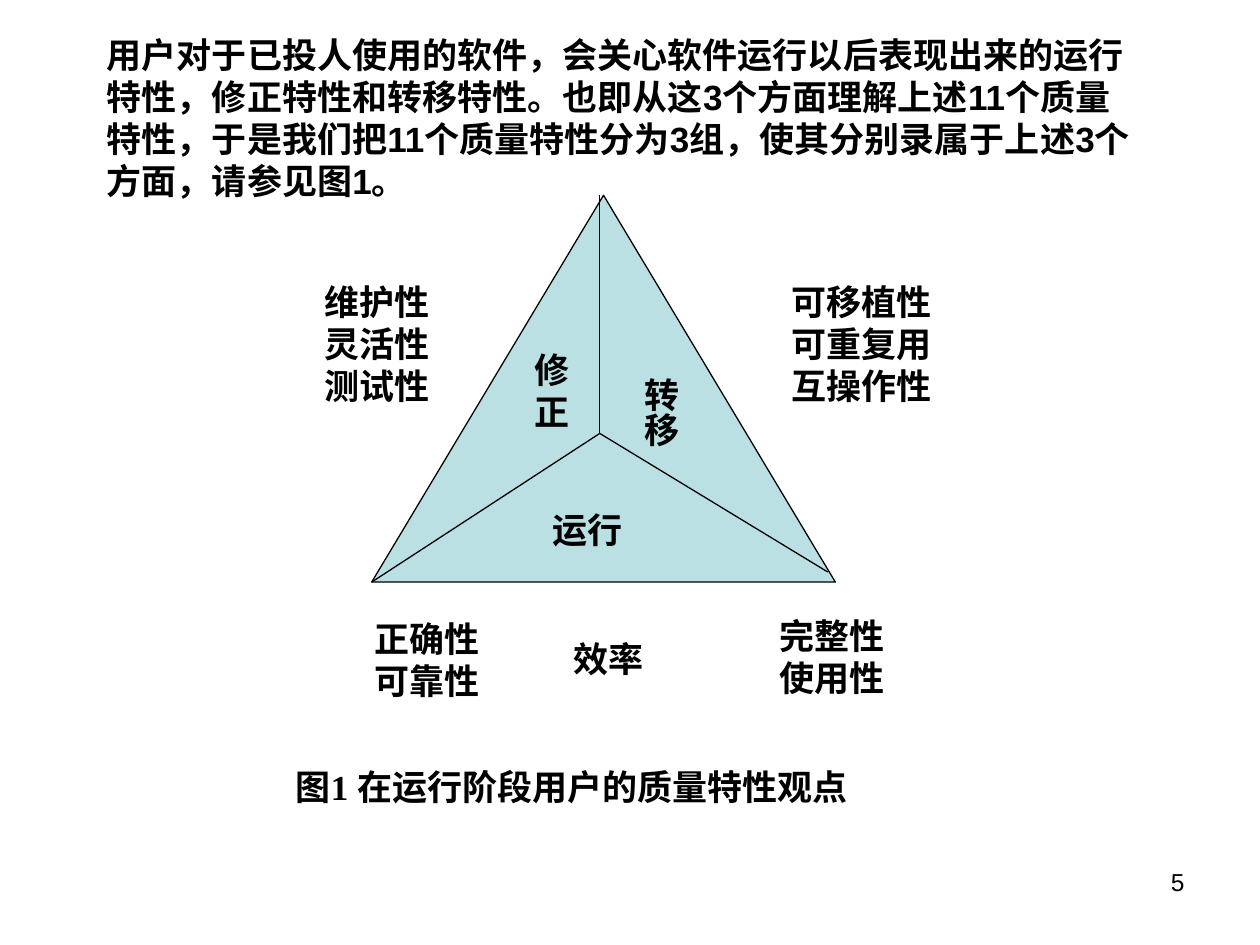
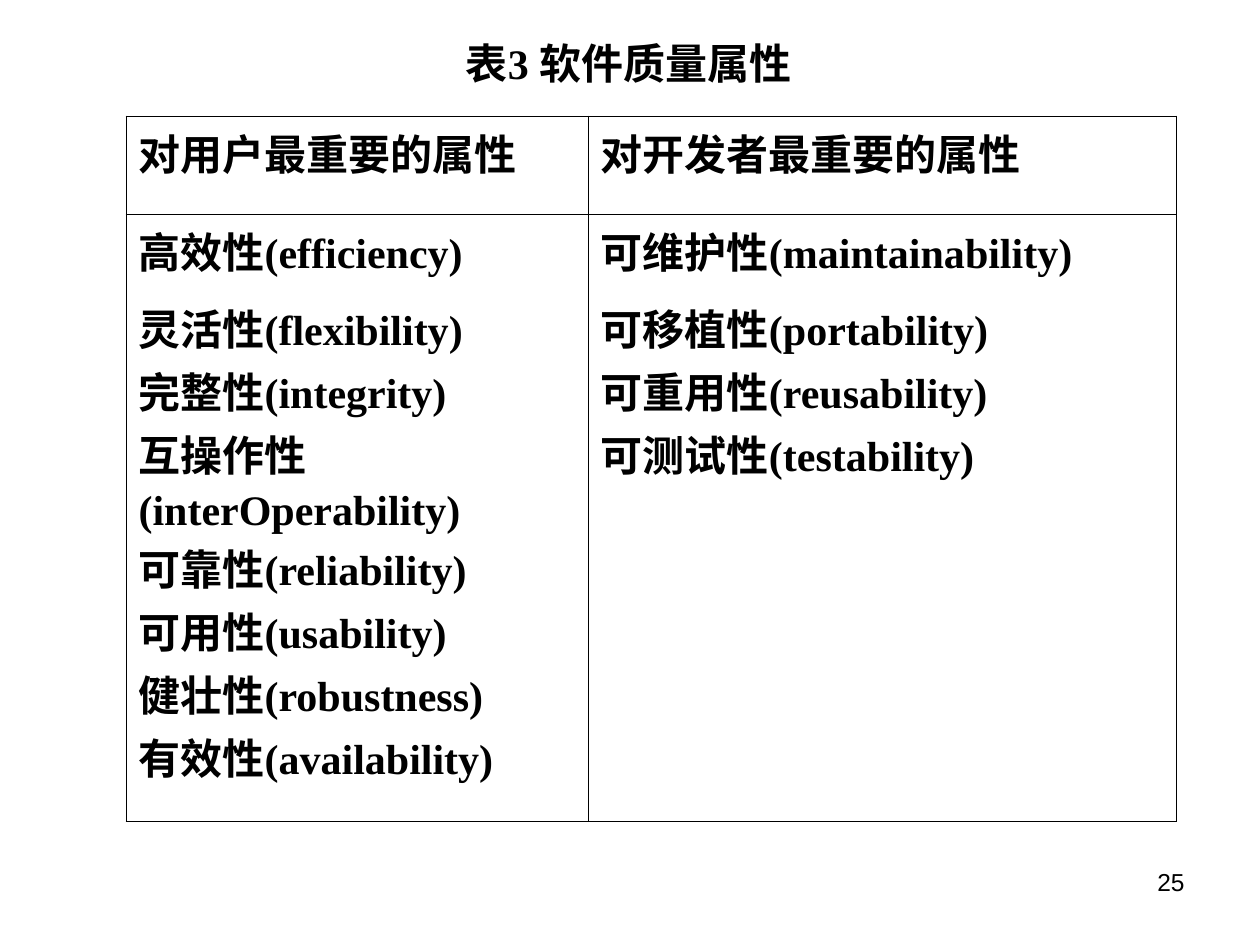
from pptx import Presentation
from pptx.dml.color import RGBColor
from pptx.enum.shapes import MSO_CONNECTOR, MSO_SHAPE
from pptx.enum.text import MSO_ANCHOR, MSO_AUTO_SIZE, PP_ALIGN
from pptx.oxml.ns import qn
from pptx.util import Inches, Pt
from lxml.etree import SubElement, Element

INK = "000000"
PALE_TEAL = "BBE0E3"
SERIF = "Times New Roman"
SANS = "Arial"
TITLE_ONLY, BLANK = 5, 6

INTRO = (
    "用户对于已投人使用的软件，会关心软件运行以后表现出来的运行特性，修正特性和转移特性。"
    "也即从这3个方面理解上述11个质量特性，于是我们把11个质量特性分为3组，"
    "使其分别录属于上述3个方面，请参见图1。"
)
FIGURE_LABELS = [
    ("运行", 1.34, 2.44, 1.29, 0.44),
    ("修\n正", 1.19, 1.17, 0.48, 0.77),
    ("维护性\n灵活性\n测试性", -0.47, 0.63, 1.52, 1.1),
    ("可移植性\n可重复用\n互操作性", 3.23, 0.63, 1.9, 1.1),
    ("正确性\n可靠性", -0.08, 3.3, 1.29, 0.77),
    ("完整性\n使用性", 3.14, 3.28, 1.29, 0.77),
    ("效率", 1.5, 3.46, 1.05, 0.44),
    ("图1 在运行阶段用户的质量特性观点", -0.7, 4.48, 5.52, 0.44),
]
USER_ATTRIBUTES = [
    "对用户最重要的属性", "高效性(efficiency)", "灵活性(flexibility)",
    "完整性(integrity)", "互操作性(interOperability)", "可靠性(reliability)",
    "可用性(usability)", "健壮性(robustness)", "有效性(availability)",
]
DEVELOPER_ATTRIBUTES = [
    "对开发者最重要的属性", "可维护性(maintainability)", "可移植性(portability)",
    "可重用性(reusability)", "可测试性(testability)",
]
ROW_HEIGHTS = [0.78, 0.69, 0.5, 0.5, 0.9, 0.5, 0.5, 0.5, 0.73]
COLUMN_WIDTHS = [3.67, 4.67]
RULED_ROWS = 2


def color(hex_value):
    return RGBColor.from_string(hex_value)


def format_text(frame, size, font=SERIF, bold=True, align=PP_ALIGN.LEFT):
    for paragraph in frame.paragraphs:
        paragraph.alignment = align
        for run in paragraph.runs:
            run.font.name = font
            run.font.size = Pt(size)
            run.font.bold = bold
            run.font.color.rgb = color(INK)


def add_label(slide, text, left, top, width, height, size=20, **style):
    label = slide.shapes.add_textbox(*map(Inches, (left, top, width, height)))
    frame = label.text_frame
    frame.word_wrap = True
    frame.text = text
    format_text(frame, size, **style)
    return frame


def add_page_number(slide, number):
    add_label(slide, number, 7.17, 6.83, 2.33, 0.52, size=14,
              font=SANS, bold=False, align=PP_ALIGN.RIGHT)


def add_divider(slide, start, end):
    divider = slide.shapes.add_connector(
        MSO_CONNECTOR.STRAIGHT, *map(Inches, (*start, *end)))
    divider.line.color.rgb = color(INK)
    divider.line.width = Pt(0.75)
    SubElement(divider._element.spPr, qn("a:effectLst"))


def add_quality_triangle(slide, left, top, width, height):
    triangle = slide.shapes.add_shape(
        MSO_SHAPE.ISOSCELES_TRIANGLE, *map(Inches, (left, top, width, height)))
    triangle.shadow.inherit = False
    triangle.fill.solid()
    triangle.fill.fore_color.rgb = color(PALE_TEAL)
    triangle.line.color.rgb = color(INK)
    triangle.line.width = Pt(0.75)

    center = (left + 1.81, top + 1.89)
    corners = [(center[0], top), (left, top + height), (left + 3.62, top + 2.99)]
    for corner in corners:
        add_divider(slide, corner, center)

    for text, dx, dy, label_width, label_height in FIGURE_LABELS:
        add_label(slide, text, left + dx, top + dy, label_width, label_height)

    transfer = add_label(slide, "转移", left + 1.98, top + 1.35, 0.53, 0.94)
    transfer._txBody.bodyPr.set("vert", "eaVert")
    transfer.margin_left = transfer.margin_right = Inches(0.05)
    transfer.margin_top = transfer.margin_bottom = Inches(0.1)


def set_borders(cell, ruled_sides):
    properties = cell._tc.get_or_add_tcPr()
    for position, side in enumerate("LRTB"):
        border = Element(qn(f"a:ln{side}"), w=str(Pt(0.45)))
        if side in ruled_sides:
            fill = SubElement(border, qn("a:solidFill"))
            SubElement(fill, qn("a:srgbClr"), val=INK)
        else:
            SubElement(border, qn("a:noFill"))
        properties.insert(position, border)


def fill_attribute(cell, attribute):
    cell.text_frame.text = attribute
    paragraph = cell.text_frame.paragraphs[0]
    paragraph.line_spacing = Pt(28.8)
    paragraph.space_before = Pt(0)
    format_text(cell.text_frame, 24)


def add_attribute_table(slide, left, top):
    last = len(ROW_HEIGHTS) - 1
    box = (left, top, sum(COLUMN_WIDTHS), sum(ROW_HEIGHTS))
    table = slide.shapes.add_table(
        len(ROW_HEIGHTS), len(COLUMN_WIDTHS), *map(Inches, box)).table
    table.first_row = table.horz_banding = False
    for column, width in zip(table.columns, COLUMN_WIDTHS):
        column.width = Inches(width)
    for row, height in zip(table.rows, ROW_HEIGHTS):
        row.height = Inches(height)

    for column, attributes in enumerate((USER_ATTRIBUTES, DEVELOPER_ATTRIBUTES)):
        for row in range(last + 1):
            cell = table.cell(row, column)
            cell.fill.background()
            set_borders(cell, "LR" + {0: "TB", 1: "T", last: "B"}.get(row, ""))
            if row < RULED_ROWS:
                cell.margin_top = Inches(0.13)
            if row < len(attributes):
                fill_attribute(cell, attributes[row])


def place_title(slide, text, left, top, width, height):
    title = slide.shapes.title
    title.left, title.top, title.width, title.height = map(
        Inches, (left, top, width, height))
    frame = title.text_frame
    frame.text = text
    frame.auto_size = MSO_AUTO_SIZE.NONE
    frame.vertical_anchor = MSO_ANCHOR.MIDDLE
    format_text(frame, 24, align=PP_ALIGN.CENTER)


def build_triangle_slide(deck):
    slide = deck.slides.add_slide(deck.slide_layouts[BLANK])
    add_quality_triangle(slide, 2.95, 1.55, 3.68, 3.07)
    add_label(slide, INTRO, 0.75, 0.22, 8.33, 1.77, font=SANS)
    add_page_number(slide, "5")


def build_attribute_slide(deck):
    slide = deck.slides.add_slide(deck.slide_layouts[TITLE_ONLY])
    place_title(slide, "表3 软件质量属性", 2.5, 0.25, 4.98, 0.5)
    add_attribute_table(slide, 1, 0.92)
    add_page_number(slide, "25")


def main():
    deck = Presentation()
    deck.slide_width, deck.slide_height = Inches(10), Inches(7.5)
    build_triangle_slide(deck)
    build_attribute_slide(deck)
    deck.save("out.pptx")


if __name__ == "__main__":
    main()
